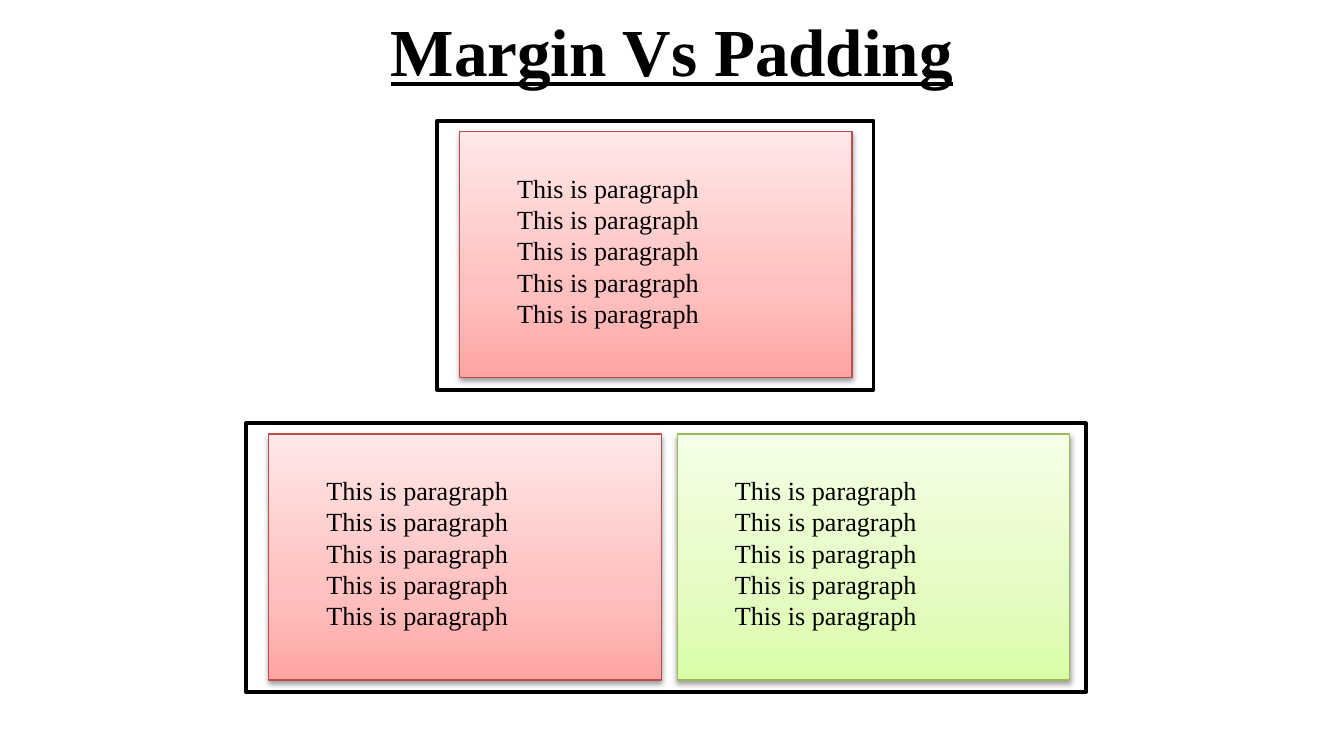
from lxml import etree
from pptx import Presentation
from pptx.dml.color import RGBColor
from pptx.enum.shapes import MSO_SHAPE
from pptx.enum.text import MSO_ANCHOR, MSO_AUTO_SIZE, PP_ALIGN
from pptx.oxml import parse_xml
from pptx.oxml.ns import nsdecls, qn
from pptx.util import Inches, Pt

# Content
TITLE = "Margin Vs Padding"
PARAGRAPHS = ["This is paragraph"] * 5
# Margin frames: left, top, width and the (left, palette) of each card inside
FRAMES = [
    (3.25, 0.9, 3.25, [(3.42, "red")]),
    (1.83, 3.15, 6.25, [(2.0, "red"), (5.04, "green")]),
]

# Style
FONT = "Times New Roman"
COLORS = {"black": "000000", "white": "FFFFFF"}
PALETTES = {
    "red": {"line": "BF4C48", "stops": [(0, "FFA6A5"), (35, "FFC0BF"), (100, "FFE7E7")]},
    "green": {"line": "98B955", "stops": [(0, "DAFDA7"), (35, "E4FCC2"), (100, "F5FFE7")]},
}
FRAME_HEIGHT, CARD_WIDTH, CARD_HEIGHT = 2, 2.92, 1.83
MARGIN_TOP = 0.08
PADDING_LEFT, PADDING_TOP = 0.33, 0.25
TEXT_WIDTH, TEXT_HEIGHT = 1.57, 1.28

# Widescreen 16:9 slide
prs = Presentation()
prs.slide_width = Inches(10)
prs.slide_height = Inches(10 * 9 / 16)
slide = prs.slides.add_slide(prs.slide_layouts[6])


def add_box(left, top, width, height, line, weight):
    box = slide.shapes.add_shape(
        MSO_SHAPE.RECTANGLE, Inches(left), Inches(top), Inches(width), Inches(height))
    box.shadow.inherit = False
    box.fill.solid()
    box.fill.fore_color.rgb = RGBColor.from_string(COLORS["white"])
    box.line.color.rgb = RGBColor.from_string(line)
    box.line.width = Pt(weight)
    return box


def add_text(left, top, width, height, lines, size):
    frame = slide.shapes.add_textbox(
        Inches(left), Inches(top), Inches(width), Inches(height)).text_frame
    frame.text = "\n".join(lines)
    for paragraph in frame.paragraphs:
        font = paragraph.runs[0].font
        font.name, font.size = FONT, Pt(size)
        font.color.rgb = RGBColor.from_string(COLORS["black"])
    return frame


def add_card(left, top, palette):
    card = add_box(left, top, CARD_WIDTH, CARD_HEIGHT, palette["line"], 0.75)
    props = card._element.spPr

    # Gradient running from the bottom edge up
    stops = "".join(
        f'<a:gs pos="{pos * 1000}"><a:srgbClr val="{color}"/></a:gs>'
        for pos, color in palette["stops"])
    props.replace(props.find(qn("a:solidFill")), parse_xml(
        f'<a:gradFill {nsdecls("a")} rotWithShape="1"><a:gsLst>{stops}</a:gsLst>'
        '<a:lin ang="16200000" scaled="0"/></a:gradFill>'))

    # Soft shadow below the card
    shadow = etree.SubElement(
        props.find(qn("a:effectLst")), qn("a:outerShdw"),
        blurRad=str(Pt(3.1)), dist=str(Pt(1.6)), dir="5400000", rotWithShape="0")
    tint = etree.SubElement(shadow, qn("a:srgbClr"), val=COLORS["black"])
    etree.SubElement(tint, qn("a:alpha"), val="38000")

    text = add_text(left + PADDING_LEFT, top + PADDING_TOP,
                    TEXT_WIDTH, TEXT_HEIGHT, PARAGRAPHS, 14)
    text.word_wrap = False
    text.auto_size = MSO_AUTO_SIZE.SHAPE_TO_FIT_TEXT


def add_frame(left, top, width, cards):
    outline = add_box(left, top, width, FRAME_HEIGHT, COLORS["black"], 2)
    etree.SubElement(outline._element.spPr.find(qn("a:ln")), qn("a:round"))
    for card_left, palette_name in cards:
        add_card(card_left, top + MARGIN_TOP, PALETTES[palette_name])


# Title
title = add_text(0.5, -0.1, 9, 0.94, [TITLE], 36)
title.word_wrap = True
title.vertical_anchor = MSO_ANCHOR.MIDDLE
heading = title.paragraphs[0]
heading.alignment = PP_ALIGN.CENTER
heading.runs[0].font.bold = heading.runs[0].font.underline = True

# Frames with their cards
for frame_spec in FRAMES:
    add_frame(*frame_spec)

prs.save("out.pptx")
